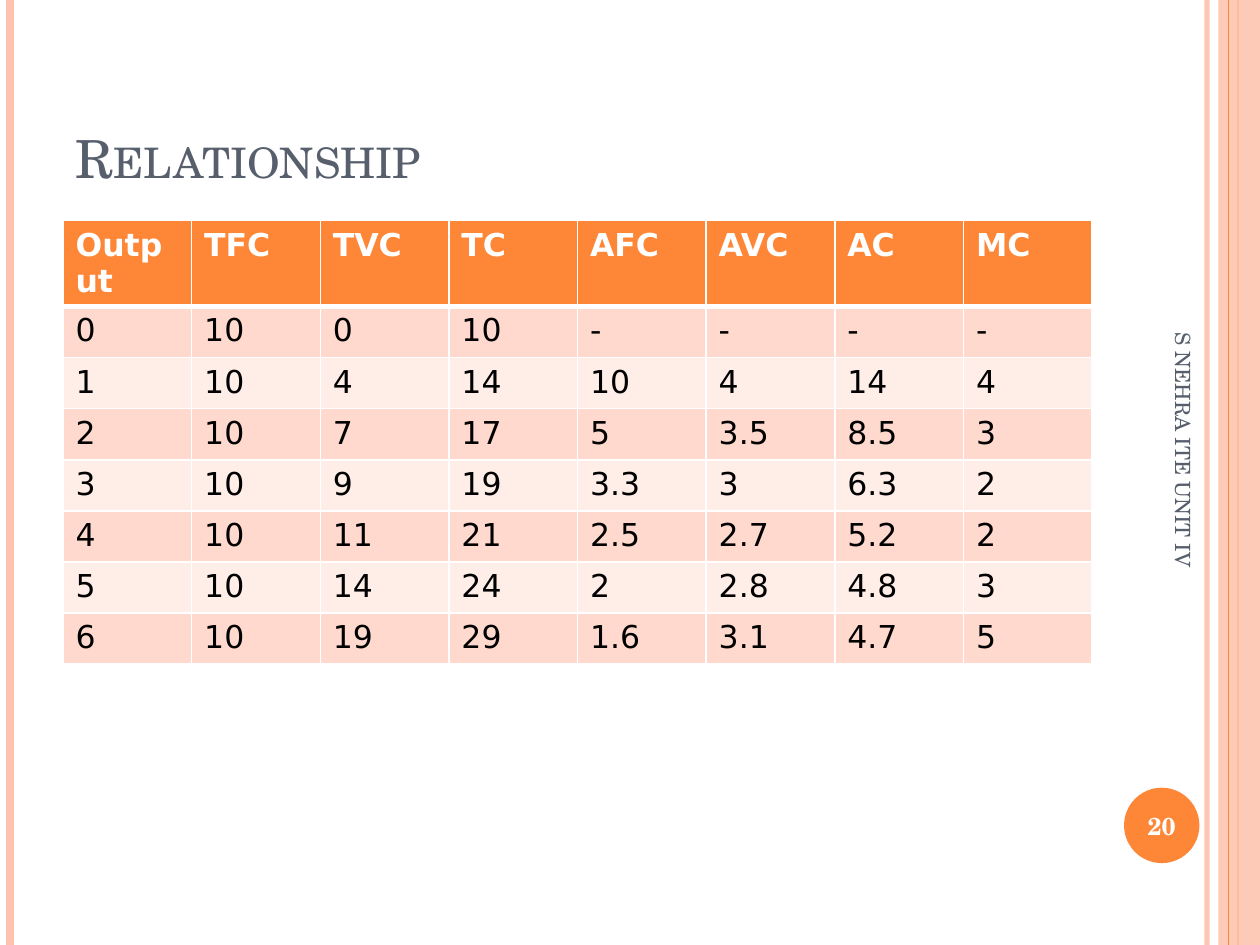
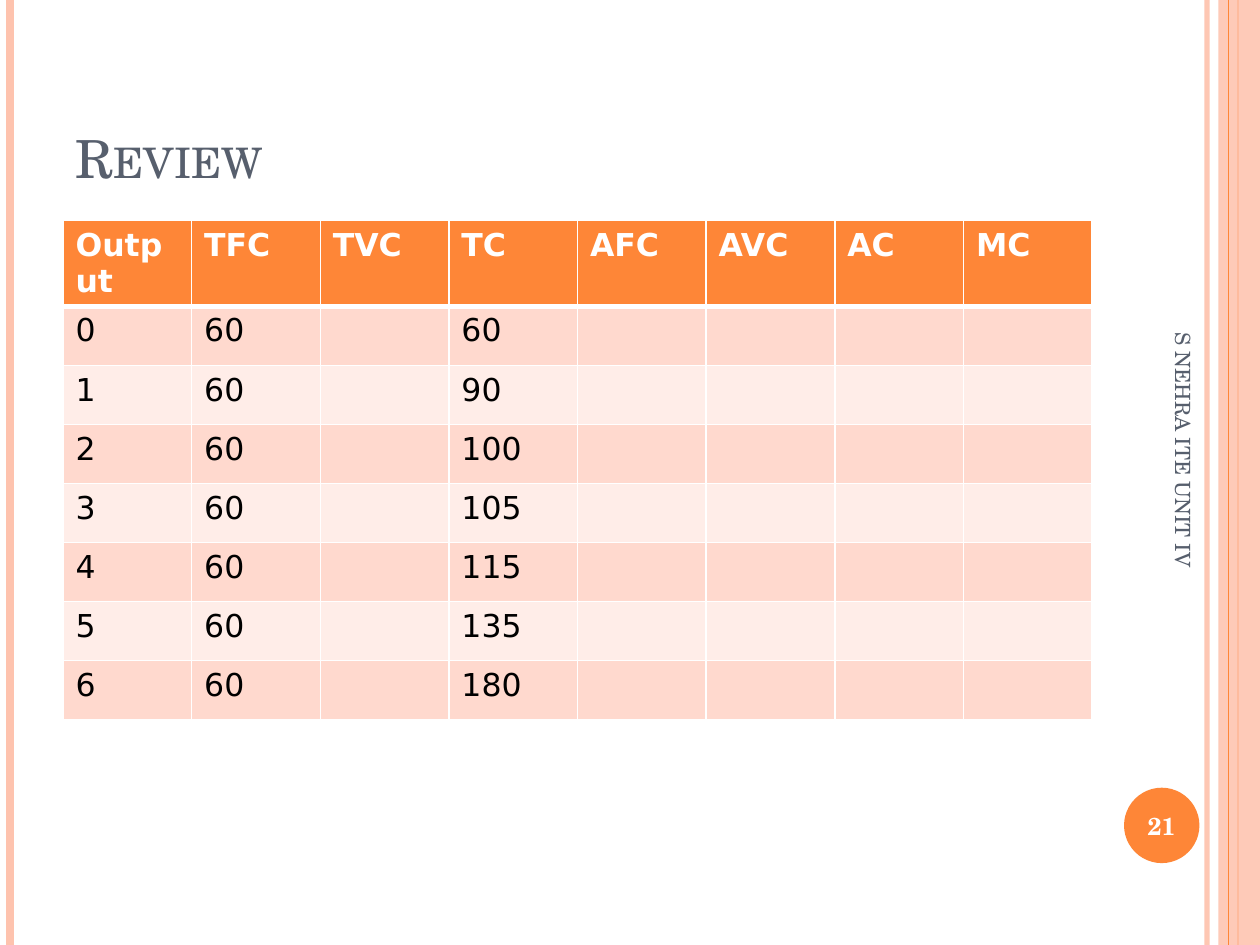
from dataclasses import dataclass

from lxml.etree import SubElement
from pptx import Presentation
from pptx.dml.color import RGBColor
from pptx.enum.shapes import MSO_CONNECTOR as CONN, MSO_SHAPE as SHAPE
from pptx.enum.text import MSO_ANCHOR as ANCHOR, MSO_AUTO_SIZE as AUTO, PP_ALIGN as ALIGN
from pptx.oxml.ns import qn
from pptx.util import Cm, Pt


@dataclass(frozen=True)
class Theme:
    accent: str = "FE8637"
    soft: str = "FEC3AE"
    slate: str = "575F6D"
    white: str = "FFFFFF"
    black: str = "000000"
    rows: tuple = ("FFD9CE", "FFEDE8")
    serif: str = "TeX Gyre Schola"
    sans: str = "DejaVu Sans"
    title_size: int = 30
    table_size: int = 18
    number_size: int = 14
    footer_size: int = 12


T = Theme()
SLIDE_W, SLIDE_H = 25.4, 19.05

# Boxes in cm: left, top, width, height
TITLE_BOX = (1.27, 0.76, 20.75, 3.18)
TABLE_BOX = (1.27, 4.45, 20.75)
BADGE_BOX = (22.66, 15.88, 1.52, 1.52)
FOOTER_BOX = (19.41, 10.39, 8.89, 1.02)
BAND_BOX = (24.56, 0, 0.84, SLIDE_H)
HEADER_H = 1.7

# Vertical rules: x in cm, colour, width in points, opacity in percent
BACK_RULES = [(24.33, T.soft, 3, 93), (0.2, T.soft, 4.5, 100), (24.96, T.accent, 1.5, 100)]
FRONT_RULES = [(24.77, T.accent, 0.75, 100)]

FOOTER = "S NEHRA ITE UNIT IV"
COLUMNS = ["Output", "TFC", "TVC", "TC", "AFC", "AVC", "AC", "MC"]
RELATIONSHIP = [
    ["0", "10", "0", "10", "-", "-", "-", "-"],
    ["1", "10", "4", "14", "10", "4", "14", "4"],
    ["2", "10", "7", "17", "5", "3.5", "8.5", "3"],
    ["3", "10", "9", "19", "3.3", "3", "6.3", "2"],
    ["4", "10", "11", "21", "2.5", "2.7", "5.2", "2"],
    ["5", "10", "14", "24", "2", "2.8", "4.8", "3"],
    ["6", "10", "19", "29", "1.6", "3.1", "4.7", "5"],
]
TOTAL_COSTS = ["60", "90", "100", "105", "115", "135", "180"]
REVIEW = [[str(i), "60", "", tc, "", "", "", ""] for i, tc in enumerate(TOTAL_COSTS)]


def rgb(color):
    return RGBColor.from_string(color)


def place(sp, box):
    sp.left, sp.top, sp.width, sp.height = map(Cm, box)


def set_opacity(sp, percent):
    for color in list(sp._element.iter(qn("a:srgbClr"))):
        SubElement(color, qn("a:alpha"), val=str(percent * 1000))


def style_text(p, size, color, font, bold=False):
    for r in p.runs:
        r.font.size, r.font.name, r.font.bold = Pt(size), font, bold
        r.font.color.rgb = rgb(color)


def add_fill_shape(slide, kind, box, color):
    sp = slide.shapes.add_shape(kind, *map(Cm, box))
    sp.shadow.inherit = False
    sp.fill.solid()
    sp.fill.fore_color.rgb = rgb(color)
    sp.line.fill.background()
    return sp


def add_rules(slide, rules):
    for x, color, width, opacity in rules:
        line = slide.shapes.add_connector(CONN.STRAIGHT, Cm(x), 0, Cm(x), Cm(SLIDE_H))
        line.line.color.rgb = rgb(color)
        line.line.width = Pt(width)
        SubElement(line._element.spPr, qn("a:effectLst"))
        if opacity < 100:
            set_opacity(line, opacity)


def add_frame(slide):
    """Rules and translucent band along the slide edges."""
    add_rules(slide, BACK_RULES)
    set_opacity(add_fill_shape(slide, SHAPE.RECTANGLE, BAND_BOX, T.soft), 87)
    add_rules(slide, FRONT_RULES)


def add_title(slide, text, box):
    title = slide.shapes.title
    place(title, box)
    tf = title.text_frame
    tf.text = text
    tf.auto_size, tf.vertical_anchor = AUTO.NONE, ANCHOR.BOTTOM
    p = tf.paragraphs[0]
    p.alignment = ALIGN.LEFT
    style_text(p, T.title_size, T.slate, T.serif)
    p.runs[0].font._element.set("cap", "small")


def add_badge(slide, number, box):
    """Slide number in a circle."""
    tf = add_fill_shape(slide, SHAPE.OVAL, box, T.accent).text_frame
    tf.margin_left = tf.margin_right = 0
    tf.vertical_anchor = ANCHOR.MIDDLE
    p = tf.paragraphs[0]
    p.text = str(number)
    p.alignment = ALIGN.CENTER
    style_text(p, T.number_size, T.white, T.serif, bold=True)


def add_footer(slide, text, box):
    """Footer turned to read downwards."""
    sp = slide.shapes.add_textbox(*map(Cm, box))
    sp.rotation = 90
    tf = sp.text_frame
    tf.word_wrap, tf.vertical_anchor = True, ANCHOR.MIDDLE
    tf.text = text
    style_text(tf.paragraphs[0], T.footer_size, T.slate, T.serif)


def set_borders(cell, top, bottom):
    """White cell borders; the schema wants them ahead of the fill."""
    tcPr = cell._tc.get_or_add_tcPr()
    widths = {"a:lnL": 1, "a:lnR": 1, "a:lnT": top, "a:lnB": bottom}
    for i, (tag, width) in enumerate(widths.items()):
        ln = SubElement(tcPr, qn(tag), w=str(Pt(width)))
        SubElement(SubElement(ln, qn("a:solidFill")), qn("a:srgbClr"), val=T.white)
        tcPr.insert(i, ln)


def add_cost_table(slide, body, box, row_h):
    left, top, width = box
    height = HEADER_H + row_h * len(body)
    frame = slide.shapes.add_table(len(body) + 1, len(COLUMNS),
                                   Cm(left), Cm(top), Cm(width), Cm(height))
    table = frame.table
    for col in table.columns:
        col.width = Cm(width / len(COLUMNS))
    for i, values in enumerate([COLUMNS] + body):
        header = i == 0
        table.rows[i].height = Cm(HEADER_H if header else row_h)
        for j, value in enumerate(values):
            cell = table.cell(i, j)
            cell.text = value
            cell.fill.solid()
            cell.fill.fore_color.rgb = rgb(T.accent if header else T.rows[(i - 1) % 2])
            set_borders(cell, top=3 if i == 1 else 1, bottom=3 if header else 1)
            style_text(cell.text_frame.paragraphs[0], T.table_size,
                       T.white if header else T.black, T.sans, bold=header)


def add_table_slide(prs, title, body, number, row_h):
    slide = prs.slides.add_slide(prs.slide_layouts[5])  # title only
    add_frame(slide)
    add_title(slide, title, TITLE_BOX)
    add_cost_table(slide, body, TABLE_BOX, row_h)
    add_badge(slide, number, BADGE_BOX)
    add_footer(slide, FOOTER, FOOTER_BOX)


prs = Presentation()
prs.slide_width, prs.slide_height = Cm(SLIDE_W), Cm(SLIDE_H)
add_table_slide(prs, "Relationship", RELATIONSHIP, number=20, row_h=1.03)
add_table_slide(prs, "Review", REVIEW, number=21, row_h=1.19)
prs.save("out.pptx")
